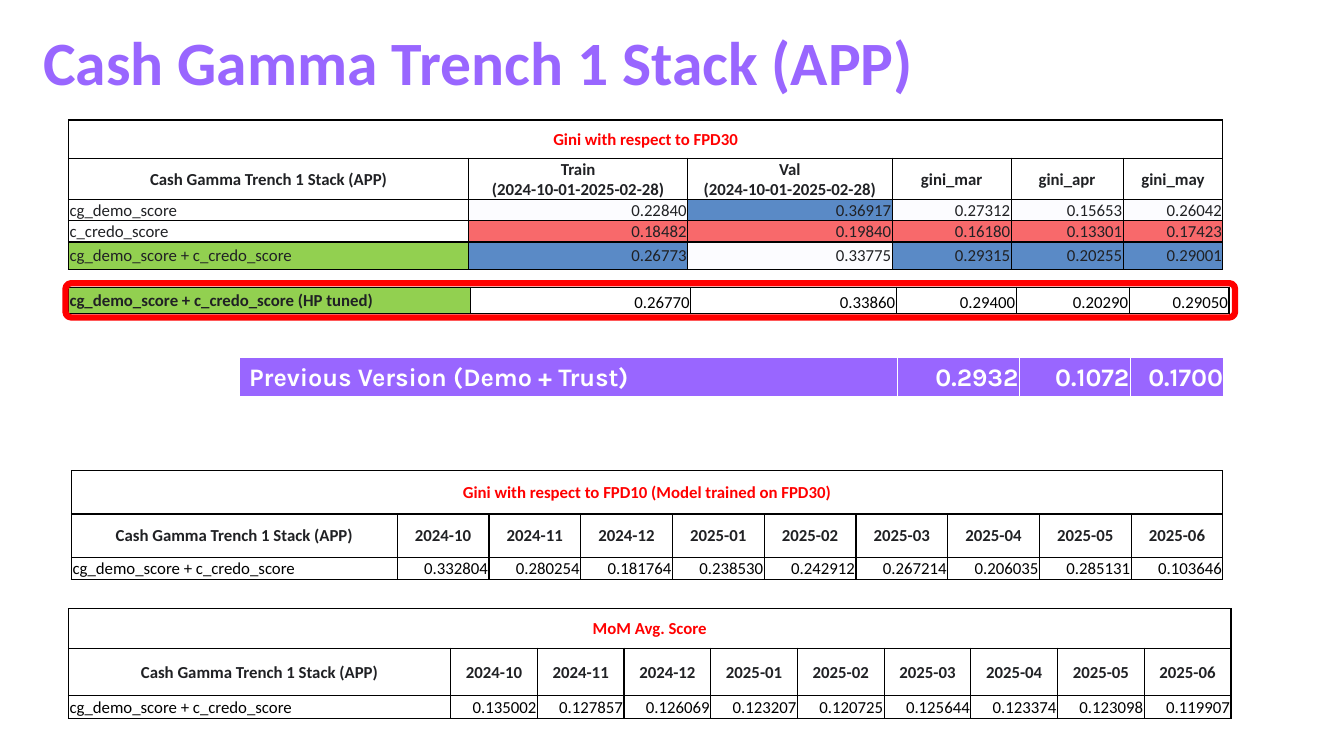
"""Build the Cash Gamma Trench 1 Stack (APP) score slide."""
from lxml import etree
from pptx import Presentation
from pptx.dml.color import RGBColor
from pptx.enum.shapes import MSO_SHAPE
from pptx.enum.text import MSO_ANCHOR, PP_ALIGN
from pptx.oxml.ns import qn
from pptx.util import Inches, Pt

LEFT, CENTER, RIGHT = PP_ALIGN.LEFT, PP_ALIGN.CENTER, PP_ALIGN.RIGHT
TOP, MIDDLE, BOTTOM = MSO_ANCHOR.TOP, MSO_ANCHOR.MIDDLE, MSO_ANCHOR.BOTTOM
ROUNDED_RECTANGLE = MSO_SHAPE.ROUNDED_RECTANGLE

COLORS = {
    "purple": "9966FF",
    "red": "FF0000",
    "black": "000000",
    "ink": "202124",
    "white": "FFFFFF",
    "neutral": "FCFCFF",
    "best": "5A8AC6",
    "worst": "F8696B",
    "green": "92D050",
}
STACK_NAME = "Cash Gamma Trench 1 Stack (APP)"
COMBINED_SCORE = "cg_demo_score + c_credo_score"
MONTHS = ["2024-10", "2024-11", "2024-12", "2025-01", "2025-02",
          "2025-03", "2025-04", "2025-05", "2025-06"]
BLACK_BORDERS = {side: ("black", 1) for side in ("lnL", "lnR", "lnT", "lnB")}
WHITE_BORDERS = {"lnL": ("white", 1), "lnR": ("white", 1),
                 "lnT": ("white", 1), "lnB": ("white", 3)}
FPD30_SCORES = [
    ("cg_demo_score", "white",
     ["0.22840", "0.36917", "0.27312", "0.15653", "0.26042"],
     ["neutral", "best", "neutral", "neutral", "neutral"]),
    ("c_credo_score", "white",
     ["0.18482", "0.19840", "0.16180", "0.13301", "0.17423"],
     ["worst"] * 5),
    (COMBINED_SCORE, "green",
     ["0.26773", "0.33775", "0.29315", "0.20255", "0.29001"],
     ["best", "neutral", "best", "best", "best"]),
]


def rgb(name):
    """Return the named colour."""
    return RGBColor.from_string(COLORS[name])


def format_font(font, size, color, bold=False, family="Calibri"):
    """Apply family, size, colour and weight to a font."""
    font.name = family
    font.size = Pt(size)
    font.bold = bold
    font.color.rgb = rgb(color)


def set_borders(cell, borders):
    """Draw the given borders around a cell."""
    properties = cell._tc.get_or_add_tcPr()
    for position, (side, (color, width)) in enumerate(borders.items()):
        line = etree.Element(qn("a:" + side), w=str(Pt(width)))
        fill = etree.SubElement(line, qn("a:solidFill"))
        etree.SubElement(fill, qn("a:srgbClr"), val=COLORS[color])
        properties.insert(position, line)


def set_cell(cell, text, align=RIGHT, fill="white", color="ink", bold=False,
             anchor=MIDDLE, size=12, family="Calibri"):
    """Fill a cell with formatted text."""
    cell.text = text
    cell.vertical_anchor = anchor
    cell.fill.solid()
    cell.fill.fore_color.rgb = rgb(fill)
    for paragraph in cell.text_frame.paragraphs:
        paragraph.alignment = align
        for run in paragraph.runs:
            format_font(run.font, size, color, bold, family)


def add_grid(slide, left, top, widths, heights, borders):
    """Add an unstyled table with tight cells and the given borders."""
    frame = slide.shapes.add_table(
        len(heights), len(widths), Inches(left), Inches(top),
        Inches(sum(widths)), Inches(sum(heights)))
    table = frame.table
    table.first_row = table.horz_banding = False
    for column, width in zip(table.columns, widths):
        column.width = Inches(width)
    for row, height in zip(table.rows, heights):
        row.height = Inches(height)
    for cell in table.iter_cells():
        cell.margin_left = cell.margin_right = cell.margin_top = Inches(0.01)
        cell.margin_bottom = 0
        set_borders(cell, borders)
    return table


def add_heading_rows(table, heading, labels):
    """Fill the merged heading row and the row of column labels."""
    first = table.cell(0, 0)
    first.merge(table.cell(0, len(labels) - 1))
    set_cell(first, heading, CENTER, color="red", bold=True)
    for column, label in enumerate(labels):
        set_cell(table.cell(1, column), label, CENTER, bold=True)


def add_title(slide, left, top, width, height):
    """Add the slide title."""
    box = slide.shapes.add_textbox(
        Inches(left), Inches(top), Inches(width), Inches(height))
    frame = box.text_frame
    frame.word_wrap = True
    frame.vertical_anchor = MIDDLE
    frame.text = STACK_NAME
    paragraph = frame.paragraphs[0]
    paragraph.line_spacing = 0.9
    format_font(paragraph.runs[0].font, 44, "purple", True)


def add_fpd30_table(slide, left, top):
    """Add the FPD30 comparison of the separate and combined scores."""
    table = add_grid(slide, left, top, [3.97, 2.17, 2.03, 1.18, 1.11, 0.99],
                     [0.38, 0.38, 0.19, 0.19, 0.27], BLACK_BORDERS)
    period = "(2024-10-01-2025-02-28)"
    add_heading_rows(table, "Gini with respect to FPD30", [
        STACK_NAME, f"Train\n{period}", f"Val\n{period}",
        "gini_mar", "gini_apr", "gini_may"])
    for row, (name, name_fill, values, fills) in enumerate(FPD30_SCORES, 2):
        set_cell(table.cell(row, 0), name, LEFT, name_fill)
        for column, (value, fill) in enumerate(zip(values, fills), 1):
            set_cell(table.cell(row, column), value, fill=fill)


def add_tuned_row(slide, left, top):
    """Add the tuned score row and the red frame around it."""
    widths, height = [3.99, 2.18, 2.04, 1.19, 1.12, 0.99], 0.26
    table = add_grid(slide, left, top, widths, [height], BLACK_BORDERS)
    set_cell(table.cell(0, 0), f"{COMBINED_SCORE} (HP tuned)", LEFT, "green",
             bold=True)
    values = ["0.26770", "0.33860", "0.29400", "0.20290", "0.29050"]
    for column, value in enumerate(values, 1):
        set_cell(table.cell(0, column), value, color="black", anchor=BOTTOM)
    highlight = slide.shapes.add_shape(
        ROUNDED_RECTANGLE, Inches(left - 0.03), Inches(top - 0.04),
        Inches(sum(widths) + 0.09), Inches(height + 0.08))
    highlight.shadow.inherit = False
    highlight.fill.background()
    highlight.line.color.rgb = rgb("red")
    highlight.line.width = Pt(4.5)


def add_previous_version(slide, left, top):
    """Add the purple band with the previous version's scores."""
    table = add_grid(slide, left, top, [6.53, 1.21, 1.1, 0.93], [0.4],
                     WHITE_BORDERS)
    style = {"fill": "purple", "color": "white", "bold": True,
             "size": 18, "family": "Karla"}
    label = table.cell(0, 0)
    label.margin_left = label.margin_right = Inches(0.1)
    label.margin_top = label.margin_bottom = Inches(0.05)
    set_cell(label, "Previous Version (Demo + Trust)", LEFT, anchor=TOP,
             **style)
    for column, value in enumerate(["0.2932", "0.1072", "0.1700"], 1):
        set_cell(table.cell(0, column), value, **style)


def add_monthly_table(slide, left, top, name_width, month_width, heights,
                      heading, values):
    """Add a table with the combined score for every month."""
    widths = [name_width] + [month_width] * len(MONTHS)
    table = add_grid(slide, left, top, widths, heights, BLACK_BORDERS)
    add_heading_rows(table, heading, [STACK_NAME] + MONTHS)
    set_cell(table.cell(2, 0), COMBINED_SCORE, LEFT, color="black")
    for column, value in enumerate(values, 1):
        set_cell(table.cell(2, column), value, color="black")


def main():
    """Build and save the presentation."""
    presentation = Presentation()
    presentation.slide_width = Inches(13.33)
    presentation.slide_height = Inches(7.5)
    slide = presentation.slides.add_slide(presentation.slide_layouts[6])
    add_title(slide, 0.33, 0.2, 11.44, 0.9)
    add_fpd30_table(slide, 0.68, 1.19)
    add_tuned_row(slide, 0.68, 2.85)
    add_previous_version(slide, 2.37, 3.55)
    add_monthly_table(
        slide, 0.71, 4.67, 3.23, 0.91, [0.43, 0.43, 0.22],
        "Gini with respect to FPD10 (Model trained on FPD30)",
        ["0.332804", "0.280254", "0.181764", "0.238530", "0.242912",
         "0.267214", "0.206035", "0.285131", "0.103646"])
    add_monthly_table(
        slide, 0.68, 6.04, 3.79, 0.86, [0.39, 0.47, 0.23], "MoM Avg. Score",
        ["0.135002", "0.127857", "0.126069", "0.123207", "0.120725",
         "0.125644", "0.123374", "0.123098", "0.119907"])
    presentation.save("out.pptx")


if __name__ == "__main__":
    main()
